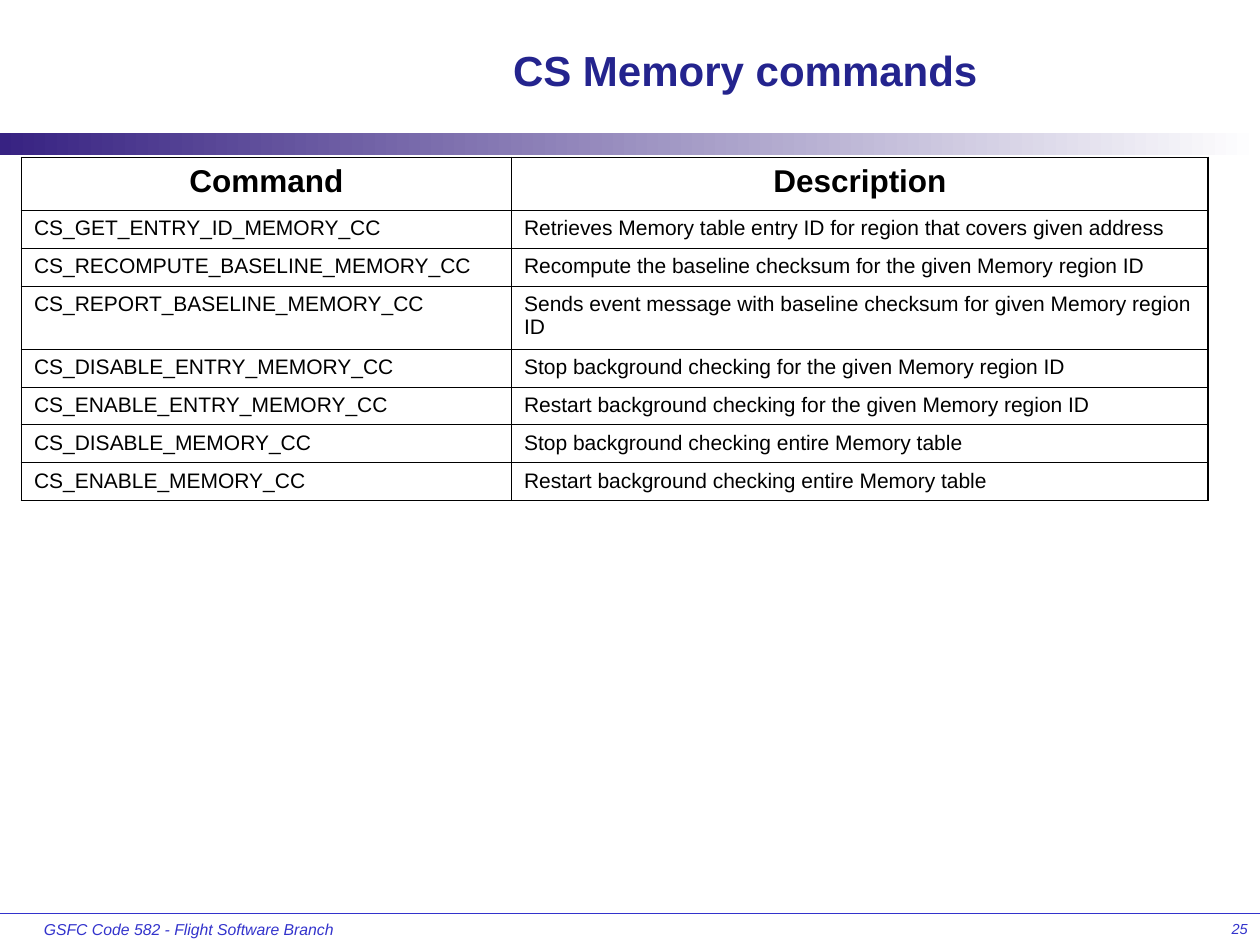
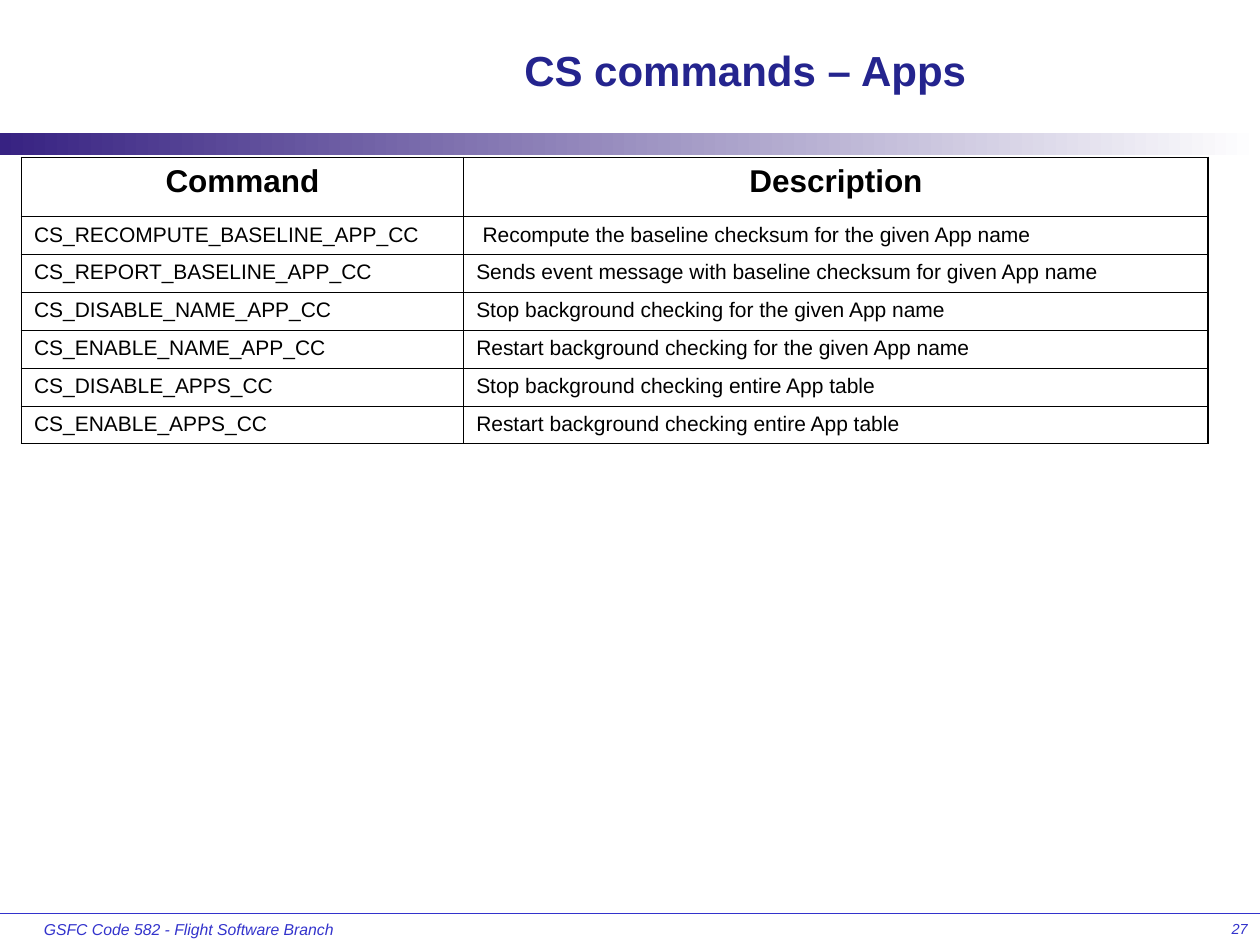
from lxml.etree import SubElement
from pptx import Presentation
from pptx.dml.color import RGBColor
from pptx.enum.shapes import MSO_CONNECTOR as Link, MSO_SHAPE as Shape
from pptx.enum.text import MSO_ANCHOR as Anchor, PP_ALIGN as Align
from pptx.oxml.ns import qn
from pptx.util import Inches, Pt

# Content
FOOTER = "GSFC Code 582 - Flight Software Branch"
HEADS = ("Command", "Description")
SLIDES = [
    {
        "title": "CS Memory commands", "page": "25",
        "cols": (3.89, 5.53), "head": 0.42,
        "rows": [
            ("CS_GET_ENTRY_ID_MEMORY_CC", "Retrieves Memory table entry ID for region that covers given address"),
            ("CS_RECOMPUTE_BASELINE_MEMORY_CC", "Recompute the baseline checksum for the given Memory region ID"),
            ("CS_REPORT_BASELINE_MEMORY_CC", "Sends event message with baseline checksum for given Memory region ID"),
            ("CS_DISABLE_ENTRY_MEMORY_CC", "Stop background checking for the given Memory region ID"),
            ("CS_ENABLE_ENTRY_MEMORY_CC", "Restart background checking for the given Memory region ID"),
            ("CS_DISABLE_MEMORY_CC", "Stop background checking entire Memory table"),
            ("CS_ENABLE_MEMORY_CC", "Restart background checking entire Memory table"),
        ],
        "tall": {3: 0.5}, "indent": {},
    },
    {
        "title": "CS commands – Apps", "page": "27",
        "cols": (3.51, 5.91), "head": 0.47,
        "rows": [
            ("CS_RECOMPUTE_BASELINE_APP_CC", "Recompute the baseline checksum for the given App name"),
            ("CS_REPORT_BASELINE_APP_CC", "Sends event message with baseline checksum for given App name"),
            ("CS_DISABLE_NAME_APP_CC", "Stop background checking for the given App name"),
            ("CS_ENABLE_NAME_APP_CC", "Restart background checking for the given App name"),
            ("CS_DISABLE_APPS_CC", "Stop background checking entire App table"),
            ("CS_ENABLE_APPS_CC", "Restart background checking entire App table"),
        ],
        "tall": {}, "indent": {(1, 1): 0.05},
    },
]

# Shared style
FONT = "Arial"
NAVY, BLUE, PURPLE, WHITE, BLACK = "24248E", "3333CC", "372282", "FFFFFF", "000000"
ROW = 0.3
THIN, THICK = 0.45, 1.08


def rgb(code):
    return RGBColor.from_string(code)


def write(frame, text, size, color, align=Align.LEFT, bold=False, italic=False):
    para = frame.paragraphs[0]
    para.alignment = align
    run = para.add_run()
    run.text = text
    font = run.font
    font.name, font.size, font.bold, font.italic = FONT, Pt(size), bold, italic
    font.color.rgb = rgb(color)


def add_text(slide, place, text, size, color, wrap=True, anchor=Anchor.TOP, **style):
    frame = slide.shapes.add_textbox(*map(Inches, place)).text_frame
    frame.word_wrap = wrap
    frame.vertical_anchor = anchor
    write(frame, text, size, color, **style)


def add_frame(slide, title, page):
    # Footer rule
    rule = slide.shapes.add_connector(Link.STRAIGHT, 0, Inches(7.25), Inches(10), Inches(7.25))
    rule.line.color.rgb = rgb(BLUE)
    rule.line.width = Pt(0.75)
    SubElement(rule._element.spPr, qn("a:effectLst"))

    # Fading band under the title
    band = slide.shapes.add_shape(Shape.RECTANGLE, 0, Inches(1.06), Inches(10), Inches(0.17))
    band.shadow.inherit = False
    band.line.fill.background()
    band.fill.gradient()
    band.fill.gradient_angle = 0
    for stop, color in zip(band.fill.gradient_stops, (PURPLE, WHITE)):
        stop.color.rgb = rgb(color)

    # Footer, page number and title
    add_text(slide, (0.25, 7.25, 2.5, 0.25), FOOTER, 9, BLUE, wrap=False, italic=True)
    add_text(slide, (7.92, 7.25, 2.08, 0.25), page, 8.3, BLUE, align=Align.RIGHT, italic=True)
    add_text(slide, (2.08, 0.17, 7.67, 0.76), title, 24, NAVY,
             anchor=Anchor.MIDDLE, align=Align.CENTER, bold=True)


def set_edges(cell, widths):
    props = cell._tc.get_or_add_tcPr()
    for side, width in zip("LRTB", widths):
        line = SubElement(props, qn(f"a:ln{side}"), w=str(Pt(width)))
        fill = SubElement(line, qn("a:solidFill"))
        SubElement(fill, qn("a:srgbClr"), val=BLACK)


def add_grid(slide, data):
    rows = [HEADS] + data["rows"]
    highs = [data["head"]] + [data["tall"].get(i, ROW) for i in range(1, len(rows))]
    cols = data["cols"]
    place = (0.17, 1.25, sum(cols), sum(highs))
    table = slide.shapes.add_table(len(rows), len(cols), *map(Inches, place)).table
    table.first_row = table.horz_banding = False
    for col, wide in zip(table.columns, cols):
        col.width = Inches(wide)
    for r, (texts, high) in enumerate(zip(rows, highs)):
        table.rows[r].height = Inches(high)
        for c, text in enumerate(texts):
            cell = table.cell(r, c)
            set_edges(cell, (THICK if c == 0 else THIN,
                             THICK if c == len(cols) - 1 else THIN,
                             THICK if r == 0 else THIN, THIN))
            cell.fill.background()
            cell.margin_left = Inches(0.1 + data["indent"].get((r, c), 0))
            if r == 0:
                write(cell.text_frame, text, 18, BLACK, Align.CENTER, bold=True)
            else:
                write(cell.text_frame, text, 12, BLACK)


def main():
    deck = Presentation()
    deck.slide_width, deck.slide_height = Inches(10), Inches(7.5)
    for data in SLIDES:
        slide = deck.slides.add_slide(deck.slide_layouts[6])
        add_frame(slide, data["title"], data["page"])
        add_grid(slide, data)
    deck.save("out.pptx")


if __name__ == "__main__":
    main()
